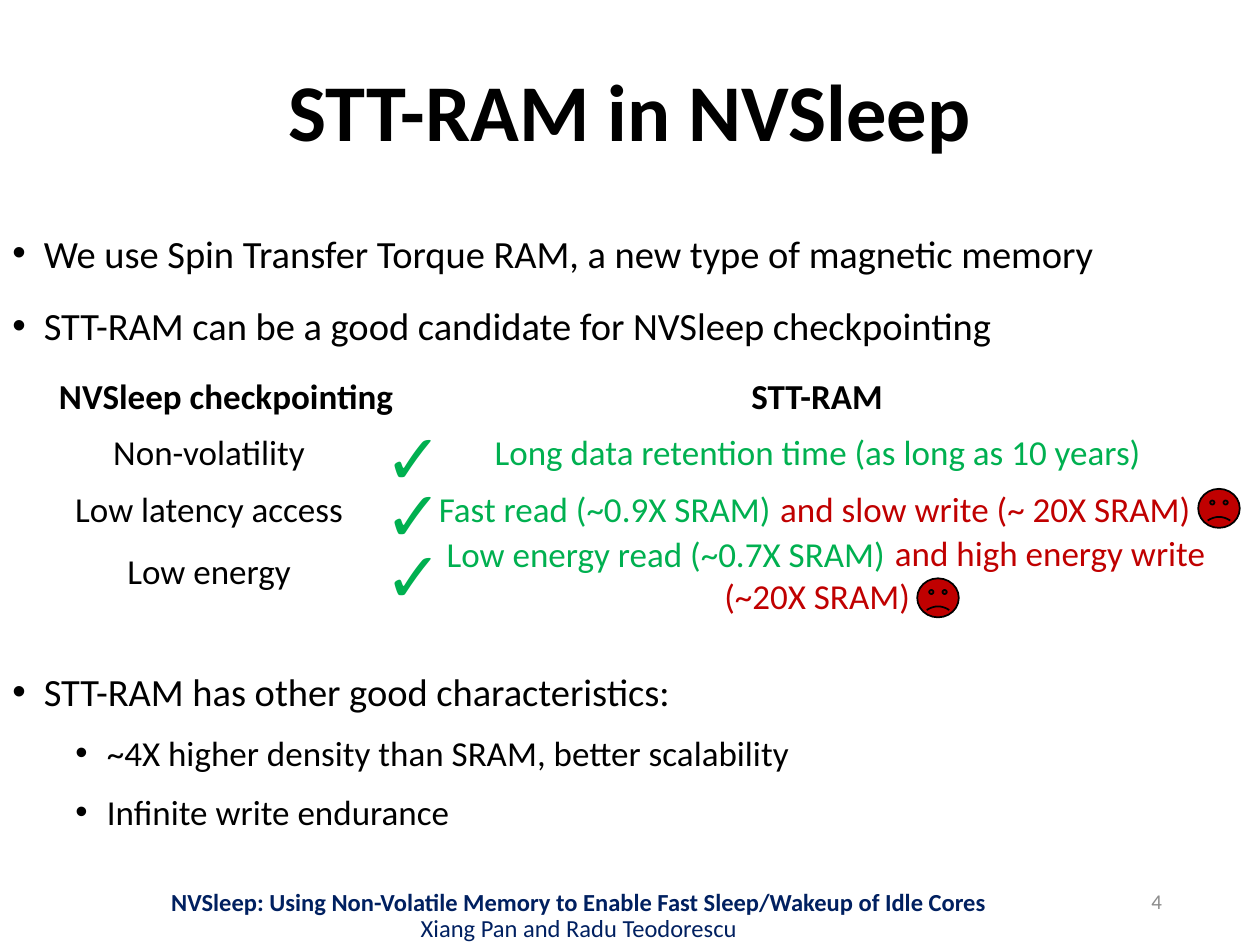
from lxml import etree
from pptx import Presentation
from pptx.dml.color import RGBColor
from pptx.enum.shapes import MSO_SHAPE
from pptx.enum.text import MSO_ANCHOR, PP_ALIGN
from pptx.oxml.ns import qn
from pptx.util import Inches, Pt

BLACK = RGBColor(0x00, 0x00, 0x00)
GREEN = RGBColor(0x00, 0xB0, 0x50)
RED = RGBColor(0xC0, 0x00, 0x00)
NAVY = RGBColor(0x00, 0x20, 0x60)
GREY = RGBColor(0x8C, 0x8C, 0x8C)
FONT = "Calibri"


def add_frame(s, left, top, width, height, anchor=MSO_ANCHOR.TOP):
    box = s.shapes.add_textbox(Inches(left), Inches(top), Inches(width), Inches(height))
    tf = box.text_frame
    tf.word_wrap = True
    tf.vertical_anchor = anchor
    return tf


def add_run(p, text, size, color=BLACK, bold=False):
    r = p.add_run()
    r.text = text
    r.font.name = FONT
    r.font.size = Pt(size)
    r.font.bold = bold
    r.font.color.rgb = color


def add_label(s, box, text, size=20, color=BLACK, bold=False,
              align=PP_ALIGN.CENTER, anchor=MSO_ANCHOR.TOP):
    p = add_frame(s, *box, anchor).paragraphs[0]
    p.alignment = align
    add_run(p, text, size, color, bold)


def set_bullet(p, margin):
    pPr = p._p.get_or_add_pPr()
    pPr.set("marL", str(Inches(margin)))
    pPr.set("indent", str(Inches(-0.25)))
    etree.SubElement(pPr, qn("a:buFont")).set("typeface", "Arial")
    etree.SubElement(pPr, qn("a:buChar")).set("char", "•")


def add_bullets(s, box, items):
    """Write (level, text) pairs as a bulleted list."""
    tf = add_frame(s, *box)
    for i, (level, text) in enumerate(items):
        p = tf.add_paragraph() if i else tf.paragraphs[0]
        p.level = level
        p.line_spacing = 1.2
        p.space_before = Pt(5 if level else 10)
        set_bullet(p, 0.75 if level else 0.25)
        add_run(p, text, 20 if level else 22)


def add_sad_face(s, left, top):
    sp = s.shapes.add_shape(MSO_SHAPE.SMILEY_FACE, Inches(left), Inches(top),
                            Inches(0.33), Inches(0.31))
    sp.shadow.inherit = False
    sp.adjustments[0] = -0.047
    sp.fill.solid()
    sp.fill.fore_color.rgb = RED
    sp.line.color.rgb = BLACK
    sp.line.width = Pt(1)


def add_needs(s, left, width):
    """Left column: what checkpointing needs, each row with a check mark."""
    add_label(s, (0.37, 2.92, 2.97, 0.44), "NVSleep checkpointing",
              bold=True, align=PP_ALIGN.LEFT)
    needs = [(3.37, "Non-volatility"), (3.82, "Low latency access"), (4.31, "Low energy")]
    for top, text in needs:
        add_label(s, (left, top, width, 0.44), text)
        add_label(s, (2.95, top - 0.13, 0.66, 0.77), "✓", 40, GREEN, align=PP_ALIGN.LEFT)


def add_properties(s):
    """Right column: strengths of STT-RAM in green, weaknesses in red."""
    add_label(s, (5.2, 2.92, 2.57, 0.44), "STT-RAM", bold=True)
    properties = [
        (3.7, 3.37, 5.58, "Long data retention time (as long as 10 years)", GREEN),
        (3.32, 3.82, 2.96, "Fast read (~0.9X SRAM)", GREEN),
        (6.06, 3.82, 3.52, "and slow write (~ 20X SRAM)", RED),
        (3.41, 4.18, 3.75, "Low energy read (~0.7X SRAM)", GREEN),
        (6.97, 4.17, 2.73, "and high energy write", RED),
        (5.59, 4.51, 1.79, "(~20X SRAM)", RED),
    ]
    for left, top, width, text, color in properties:
        add_label(s, (left, top, width, 0.44), text, color=color)
    add_sad_face(s, 9.51, 3.88)
    add_sad_face(s, 7.28, 4.59)


def add_title(s, box):
    tf = add_frame(s, *box, MSO_ANCHOR.MIDDLE)
    p = tf.paragraphs[0]
    p.alignment = PP_ALIGN.CENTER
    p.line_spacing = 0.9
    add_run(p, "STT-RAM in NVSleep", 46, bold=True)


def add_footer(s, box):
    tf = add_frame(s, *box, MSO_ANCHOR.MIDDLE)
    tf.margin_left = tf.margin_right = Inches(0.07)
    tf.margin_top = tf.margin_bottom = Inches(0.04)
    first, second = tf.paragraphs[0], tf.add_paragraph()
    for p in (first, second):
        p.alignment = PP_ALIGN.CENTER
        p.line_spacing = 0.9
    add_run(first, "NVSleep: Using Non-Volatile Memory to Enable Fast Sleep/Wakeup of Idle Cores",
            14, NAVY, bold=True)
    add_run(second, "Xiang Pan and Radu Teodorescu", 14, NAVY)


def main():
    prs = Presentation()
    prs.slide_width, prs.slide_height = Inches(10), Inches(7.5)
    s = prs.slides.add_slide(prs.slide_layouts[6])

    add_title(s, (0.37, 0.37, 9.25, 1.09))
    add_bullets(s, (0, 1.7, 10, 1.2), [
        (0, "We use Spin Transfer Torque RAM, a new type of magnetic memory"),
        (0, "STT-RAM can be a good candidate for NVSleep checkpointing"),
    ])
    add_needs(s, 0.16, 3)
    add_properties(s)
    add_bullets(s, (0, 5.18, 10, 1.6), [
        (0, "STT-RAM has other good characteristics:"),
        (1, "~4X higher density than SRAM, better scalability"),
        (1, "Infinite write endurance"),
    ])
    add_footer(s, (0.53, 7.03, 8.13, 0.49))
    add_label(s, (8.89, 6.95, 0.43, 0.4), "4", 12, GREY,
              align=PP_ALIGN.RIGHT, anchor=MSO_ANCHOR.MIDDLE)

    prs.save("out.pptx")


if __name__ == "__main__":
    main()
